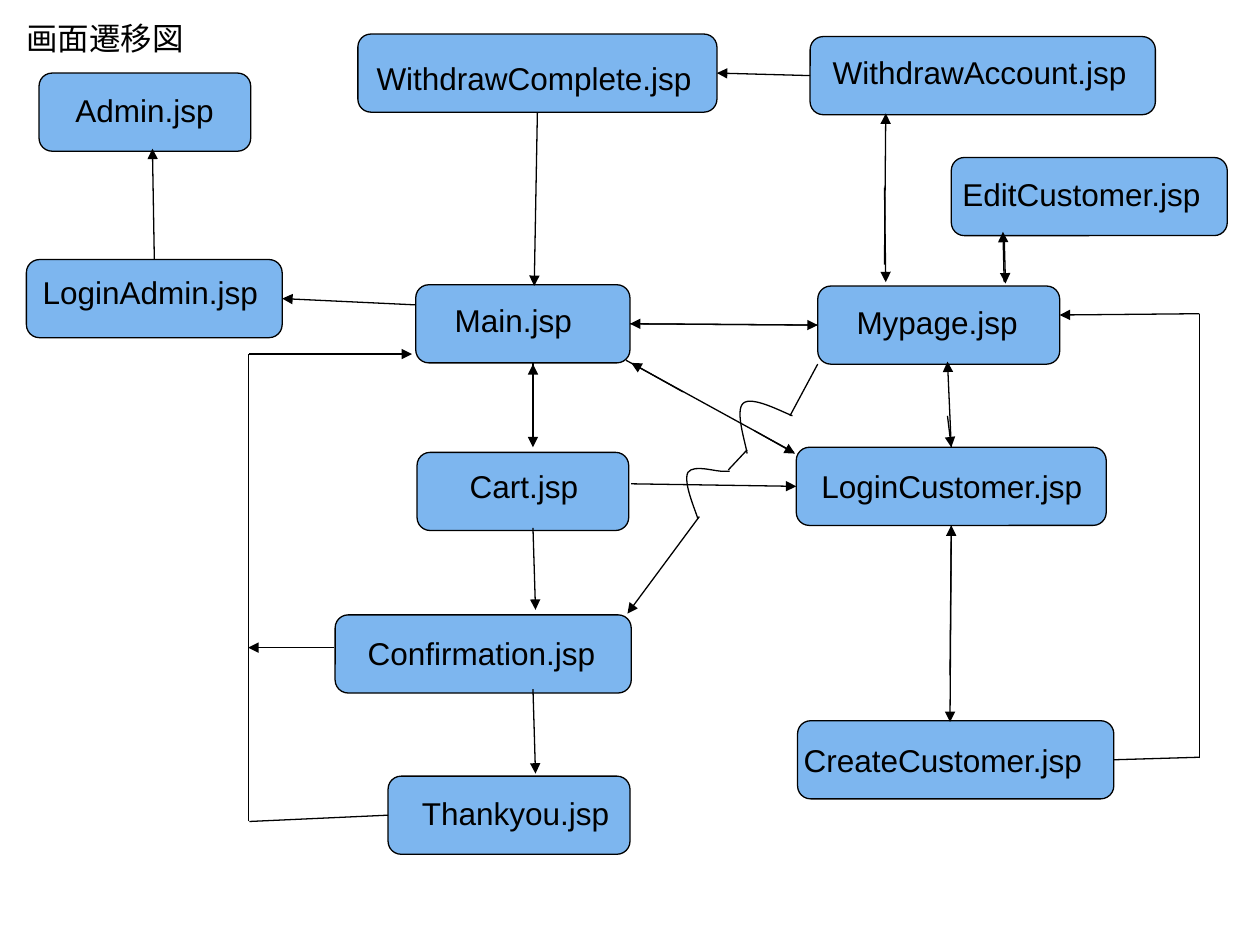
from dataclasses import dataclass
from itertools import product

from lxml.etree import SubElement
from pptx import Presentation
from pptx.dml.color import RGBColor
from pptx.enum.shapes import MSO_CONNECTOR, MSO_SHAPE
from pptx.enum.text import MSO_ANCHOR, MSO_AUTO_SIZE, PP_ALIGN
from pptx.oxml.ns import qn
from pptx.util import Inches, Pt

COLORS = {"page": "7DB6EF", "ink": "000000"}
WIDTH, HEIGHT = Inches(10), Inches(7.5)
COLUMNS, ROWS = 100, 75
BOX_ROWS, LABEL_ROWS = 6.2, 4
SNAP = 0.42


@dataclass(frozen=True)
class Page:
    name: str
    col: float
    row: float
    cols: float
    label_col: float
    label_row: float
    label_cols: float

    def sides(self) -> list[tuple[float, float]]:
        """Return the side midpoints in connection-site order."""
        mid_col, mid_row = self.col + self.cols / 2, self.row + BOX_ROWS / 2
        return [(mid_col, self.row), (self.col, mid_row),
                (mid_col, self.row + BOX_ROWS), (self.col + self.cols, mid_row)]


@dataclass(frozen=True)
class Link:
    start: tuple[float, float]
    end: tuple[float, float]
    arrow: bool = True


PAGES = [
    Page("Main.jsp", 33, 22.6, 17, 35.1, 23.4, 12.4),
    Page("Mypage.jsp", 64.9, 22.7, 19.2, 67, 23.6, 15),
    Page("Admin.jsp", 3.1, 5.8, 16.8, 5, 6.7, 13.6),
    Page("Cart.jsp", 33.1, 35.9, 16.8, 36.3, 36.6, 12),
    Page("CreateCustomer.jsp", 63.3, 57.2, 25.1, 62.8, 58.3, 24.9),
    Page("LoginCustomer.jsp", 63.2, 35.5, 24.6, 64.2, 36.6, 23),
    Page("Confirmation.jsp", 26.6, 48.8, 23.5, 28.2, 49.8, 21.8),
    Page("Thankyou.jsp", 30.8, 61.6, 19.2, 32.5, 62.5, 17.2),
    Page("LoginAdmin.jsp", 2.1, 20.6, 20.3, 2.4, 21.2, 20.1),
    Page("EditCustomer.jsp", 75.5, 12.5, 21.9, 75.4, 13.4, 24.6),
    Page("WithdrawComplete.jsp", 28.4, 2.7, 28.5, 28.9, 4.2, 32.6),
    Page("WithdrawAccount.jsp", 64.3, 2.9, 27.4, 65.1, 3.7, 26.6),
]

LINKS = [
    Link((42.3, 28.8), (42.3, 35.5)),
    Link((42.3, 33.6), (42.3, 28.9)),
    Link((42.3, 41.9), (42.5, 48.4)),
    Link((42.3, 54.7), (42.5, 61.4)),
    Link((42.3, 9), (42.4, 22.7)),
    Link((33, 24.2), (22.6, 24.1)),
    Link((12.1, 20.5), (12.1, 11.8)),
    Link((50.2, 25.4), (64.9, 25.4)),
    Link((64.8, 25.4), (49.9, 25.5)),
    Link((75.4, 41.5), (75.4, 57.3)),
    Link((75.4, 53.6), (75.4, 41.5)),
    Link((79.7, 22.4), (79.6, 18.4)),
    Link((79.7, 18.7), (79.8, 22.5)),
    Link((64, 6.1), (56.6, 6.1)),
    Link((70.2, 21), (70.3, 9)),
    Link((70.2, 14.9), (70.3, 22.4)),
    Link((75.2, 35.7), (75.2, 28.7)),
    Link((75.2, 33), (75.2, 35.5)),
    Link((49.7, 28.6), (63, 35.9), False),
    Link((59.9, 34.2), (63.1, 36)),
    Link((54.2, 31.1), (50.1, 28.8)),
    Link((50.1, 38.4), (63.1, 38.2)),
    Link((26.5, 51.4), (19.7, 51.4)),
    Link((30.8, 65.1), (19.8, 65.2), False),
    Link((19.7, 65.2), (19.7, 28.1), False),
    Link((19.8, 28.1), (32.7, 28.1)),
    Link((88.6, 60.1), (95.2, 60.1), False),
    Link((95.2, 60.2), (95.2, 24.9), False),
    Link((95.2, 24.9), (84.1, 25)),
    Link((64.9, 28.9), (62.7, 33), False),
    Link((59.3, 35.7), (57.8, 37.3), False),
    Link((55.5, 41), (49.8, 48.7)),
]

CURVES = [
    [(59.3, 36), (59.2, 35.2), (58.3, 32.6), (59, 32),
     (59.7, 31.4), (62.1, 32.7), (62.9, 33)],
    [(55.4, 41.2), (55.2, 40.5), (54.2, 38.3), (54.6, 37.5),
     (55.1, 36.8), (56.9, 37.5), (57.5, 37.4),
     (58.2, 37.4), (57.7, 37.4), (57.9, 37.4)],
]


def x(cols: float) -> int:
    """Turn grid columns into a length."""
    return round(WIDTH * cols / COLUMNS)


def y(rows: float) -> int:
    """Turn grid rows into a length."""
    return round(HEIGHT * rows / ROWS)


def color(name: str) -> RGBColor:
    """Look up a named colour."""
    return RGBColor.from_string(COLORS[name])


def style_line(s) -> None:
    """Give a shape or connector the thin dark line."""
    s.line.color.rgb = color("ink")
    s.line.width = Pt(0.75)


def set_text(s, text: str) -> None:
    """Write left-aligned text at the top of a shape."""
    tf = s.text_frame
    tf.text = text
    tf.word_wrap = True
    tf.auto_size = MSO_AUTO_SIZE.NONE
    tf.vertical_anchor = MSO_ANCHOR.TOP
    p = tf.paragraphs[0]
    p.alignment = PP_ALIGN.LEFT
    font = p.runs[0].font
    font.name, font.size = "Arial", Pt(18)
    font.color.rgb = color("ink")


def add_page(slide, page: Page):
    """Draw the rounded box of a page."""
    s = slide.shapes.add_shape(MSO_SHAPE.FLOWCHART_ALTERNATE_PROCESS,
                               x(page.col), y(page.row), x(page.cols), y(BOX_ROWS))
    s.shadow.inherit = False
    s.fill.solid()
    s.fill.fore_color.rgb = color("page")
    style_line(s)
    return s


def add_label(slide, page: Page) -> None:
    """Write the name of a page over its box."""
    s = slide.shapes.add_textbox(x(page.label_col), y(page.label_row),
                                 x(page.label_cols), y(LABEL_ROWS))
    set_text(s, page.name)


def add_link(slide, link: Link, boxes: dict) -> None:
    """Draw a link, joining ends that meet the middle of a box side."""
    (c1, r1), (c2, r2) = link.start, link.end
    s = slide.shapes.add_connector(MSO_CONNECTOR.STRAIGHT, x(c1), y(r1), x(c2), y(r2))
    style_line(s)
    ends = [(link.start, s.begin_connect), (link.end, s.end_connect)]
    for ((col, row), connect), page in product(ends, PAGES):
        for site, (side_col, side_row) in enumerate(page.sides()):
            if max(abs(col - side_col), abs(row - side_row)) < SNAP:
                connect(boxes[page.name], site)
    if link.arrow:
        SubElement(s.line._get_or_add_ln(), qn("a:tailEnd"), type="triangle")
    SubElement(s._element.spPr, qn("a:effectLst"))


def add_curve(slide, points: list[tuple[float, float]]) -> None:
    """Draw a chain of cubic curves through control points."""
    places = [(x(col), y(row)) for col, row in points]
    builder = slide.shapes.build_freeform(*places[0])
    builder.add_line_segments(places[1:], close=False)
    s = builder.convert_to_shape()
    s.shadow.inherit = False
    s.fill.background()
    style_line(s)
    steps = list(s._element.iter(qn("a:lnTo")))
    outline = steps[0].getparent()
    for i in range(0, len(steps), 3):
        curve = SubElement(outline, qn("a:cubicBezTo"))
        for step in steps[i:i + 3]:
            curve.append(step[0])
            outline.remove(step)


def main() -> None:
    """Build the screen transition slide."""
    prs = Presentation()
    prs.slide_width, prs.slide_height = WIDTH, HEIGHT
    slide = prs.slides.add_slide(prs.slide_layouts[5])
    title = slide.shapes.title
    title.left, title.top, title.width, title.height = x(1.1), y(1), x(25.4), y(LABEL_ROWS)
    set_text(title, "画面遷移図")
    boxes = {page.name: add_page(slide, page) for page in PAGES}
    for link in LINKS:
        add_link(slide, link, boxes)
    for points in CURVES:
        add_curve(slide, points)
    for page in PAGES:
        add_label(slide, page)
    prs.save("out.pptx")


if __name__ == "__main__":
    main()
